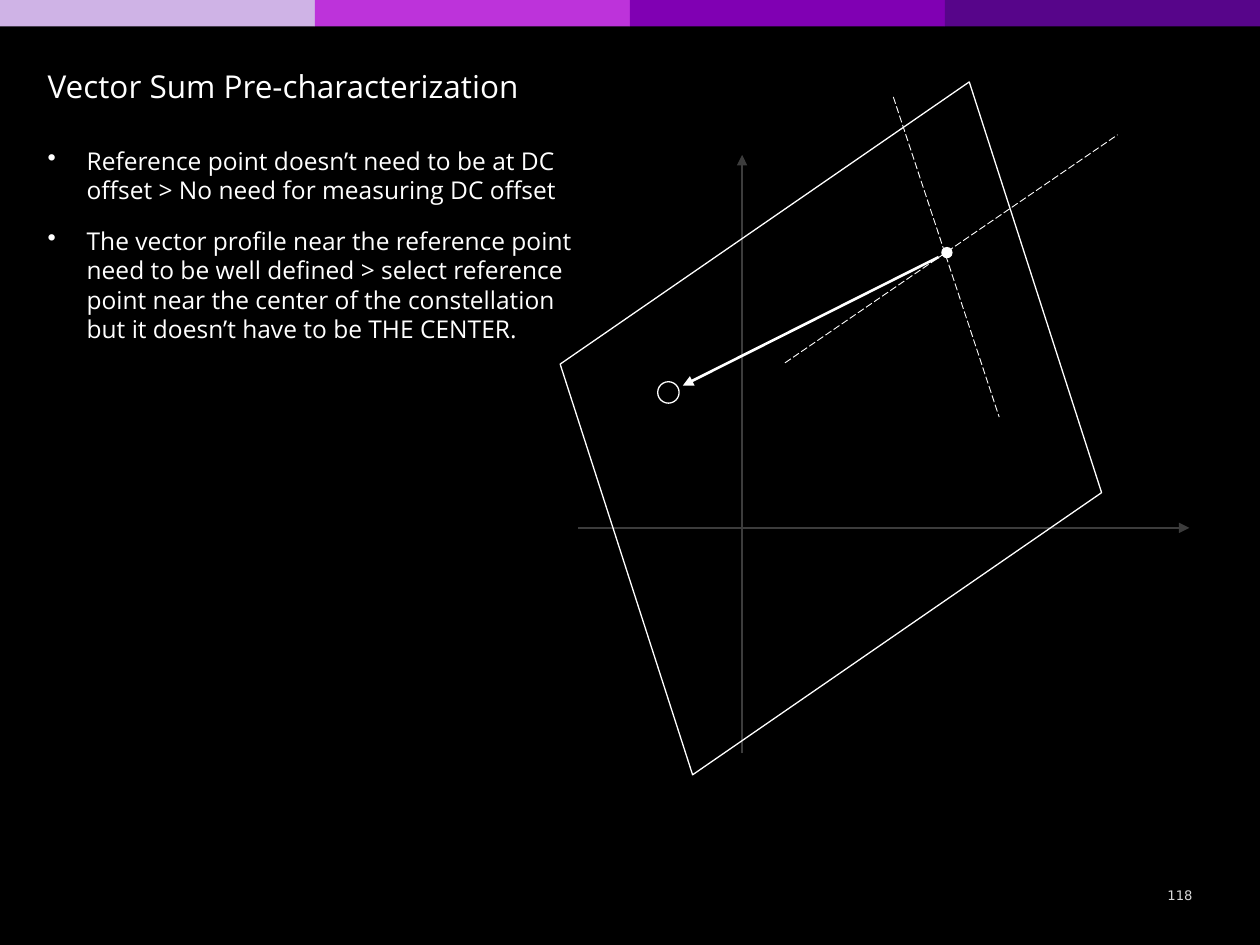
import pptx
import pptx.util
import pptx.dml.color
import pptx.enum.dml
import pptx.enum.shapes
import pptx.enum.text
import pptx.oxml
from dataclasses import dataclass
from lxml import etree

Inches, Pt = pptx.util.Inches, pptx.util.Pt
SHAPE = pptx.enum.shapes.MSO_SHAPE
ALIGN = pptx.enum.text.PP_ALIGN
ANCHOR = pptx.enum.text.MSO_ANCHOR
DASH = pptx.enum.dml.MSO_LINE


@dataclass(frozen=True)
class Theme:
    back: str = "000000"
    ink: str = "FFFFFF"
    axis: str = "3C3C3C"
    page: str = "D9D9D9"
    bands: tuple = ("CFB3E6", "BD33DA", "8000B3", "57058A")
    face: str = "Open Sans"
    num_face: str = "DejaVu Sans"
    title: float = 18
    body: float = 14
    num: float = 7.5
    thin: float = 0.5
    edge: float = 0.75
    bold: float = 1.5


THEME = Theme()


def rgb(code):
    return pptx.dml.color.RGBColor.from_string(code)


def apply(item, values):
    for name, value in values.items():
        setattr(item, name, value)


def add_form(slide, kind, box, fill=None, edge=None):
    form = slide.shapes.add_shape(kind, *map(Inches, box))
    form.shadow.inherit = False
    if fill:
        form.fill.solid()
        form.fill.fore_color.rgb = rgb(fill)
    else:
        form.fill.background()
    if edge:
        form.line.color.rgb = rgb(edge)
        form.line.width = Pt(THEME.edge)
    else:
        form.line.fill.background()
    return form


def add_line(slide, start, end, color, width, dash=None, arrow=False):
    line = slide.shapes.add_connector(
        pptx.enum.shapes.MSO_CONNECTOR.STRAIGHT, *map(Inches, (*start, *end)))
    line.line.color.rgb = rgb(color)
    apply(line.line, {"width": Pt(width), "dash_style": dash})
    if arrow:
        tail = etree.SubElement(line.line._get_or_add_ln(),
                                pptx.oxml.ns.qn("a:tailEnd"))
        tail.set("type", "triangle")
    etree.SubElement(line._element.spPr, pptx.oxml.ns.qn("a:effectLst"))


def add_text(slide, box, texts, size, color=THEME.ink, face=THEME.face,
             frame=None, para=None, bullet=False):
    area = slide.shapes.add_textbox(*map(Inches, box)).text_frame
    apply(area, {"word_wrap": True, **(frame or {})})
    for index, text in enumerate(texts):
        item = area.add_paragraph() if index else area.paragraphs[0]
        item.text = text
        apply(item, para or {})
        if index:
            item.space_before = Pt(12)
        if bullet:
            props = item._p.get_or_add_pPr()
            props.set("marL", str(Inches(0.31)))
            props.set("indent", str(-Inches(0.31)))
            mark = etree.SubElement(props, pptx.oxml.ns.qn("a:buChar"))
            mark.set("char", "•")
        apply(item.font, {"size": Pt(size), "name": face})
        item.font.color.rgb = rgb(color)


def draw_bands(slide, box):
    left, top, width, height = box
    step = width / len(THEME.bands)
    for index, color in enumerate(THEME.bands):
        add_form(slide, SHAPE.RECTANGLE,
                 (left + index * step, top, step, height), fill=color)


def draw_words(slide, box):
    """Title on top, bullets below it."""
    left, top, width, height = box
    add_text(slide, (left, top, width, 0.4),
             ["Vector Sum Pre-characterization"], THEME.title)
    add_text(slide, (left, top + 0.63, 4.44, height - 0.63), [
        "Reference point doesn’t need to be at DC offset > "
        "No need for measuring DC offset",
        "The vector profile near the reference point need to be well defined "
        "> select reference point near the center of the constellation but "
        "it doesn’t have to be THE CENTER.",
    ], THEME.body, bullet=True)


def draw_plot(slide, box):
    """Axes, skewed constellation and the vector from its reference point."""
    left, top = box[:2]

    def at(x, y):
        return left + x, top + y

    def line(start, end, *look, **more):
        add_line(slide, at(*start), at(*end), *look, **more)

    for start, end in (((0.59, 3.69), (5.44, 3.69)),
                       ((1.89, 5.48), (1.89, 0.73))):
        line(start, end, THEME.axis, THEME.bold, arrow=True)
    add_form(slide, SHAPE.OVAL, (*at(3.47, 1.46), 0.09, 0.09), fill=THEME.ink)
    for start, end in (((3.09, 0.27), (3.93, 2.81)),
                       ((2.23, 2.38), (4.87, 0.57))):
        line(start, end, THEME.ink, THEME.thin, dash=DASH.LONG_DASH)
    skew = add_form(slide, SHAPE.FLOWCHART_DATA,
                    (*at(0.13, 1.26), 4.93, 3.28), edge=THEME.ink)
    skew.rotation = 325.4
    add_form(slide, SHAPE.OVAL, (*at(1.22, 2.53), 0.17, 0.17), edge=THEME.ink)
    line((3.45, 1.54), (1.42, 2.56), THEME.ink, THEME.bold, arrow=True)


def draw_page(slide, box):
    add_text(slide, box, ["118"], THEME.num, THEME.page, THEME.num_face,
             frame={"vertical_anchor": ANCHOR.MIDDLE},
             para={"alignment": ALIGN.CENTER})


def main():
    deck = pptx.Presentation()
    apply(deck, {"slide_width": Inches(10), "slide_height": Inches(7.5)})
    slide = deck.slides.add_slide(deck.slide_layouts[6])
    slide.background.fill.solid()
    slide.background.fill.fore_color.rgb = rgb(THEME.back)
    draw_bands(slide, (0, 0, 10, 0.21))
    draw_page(slide, (9.14, 6.97, 0.45, 0.27))
    draw_plot(slide, (4, 0.5, 5.5, 6))
    draw_words(slide, (0.28, 0.48, 5.97, 2.31))
    deck.save("out.pptx")


if __name__ == "__main__":
    main()
